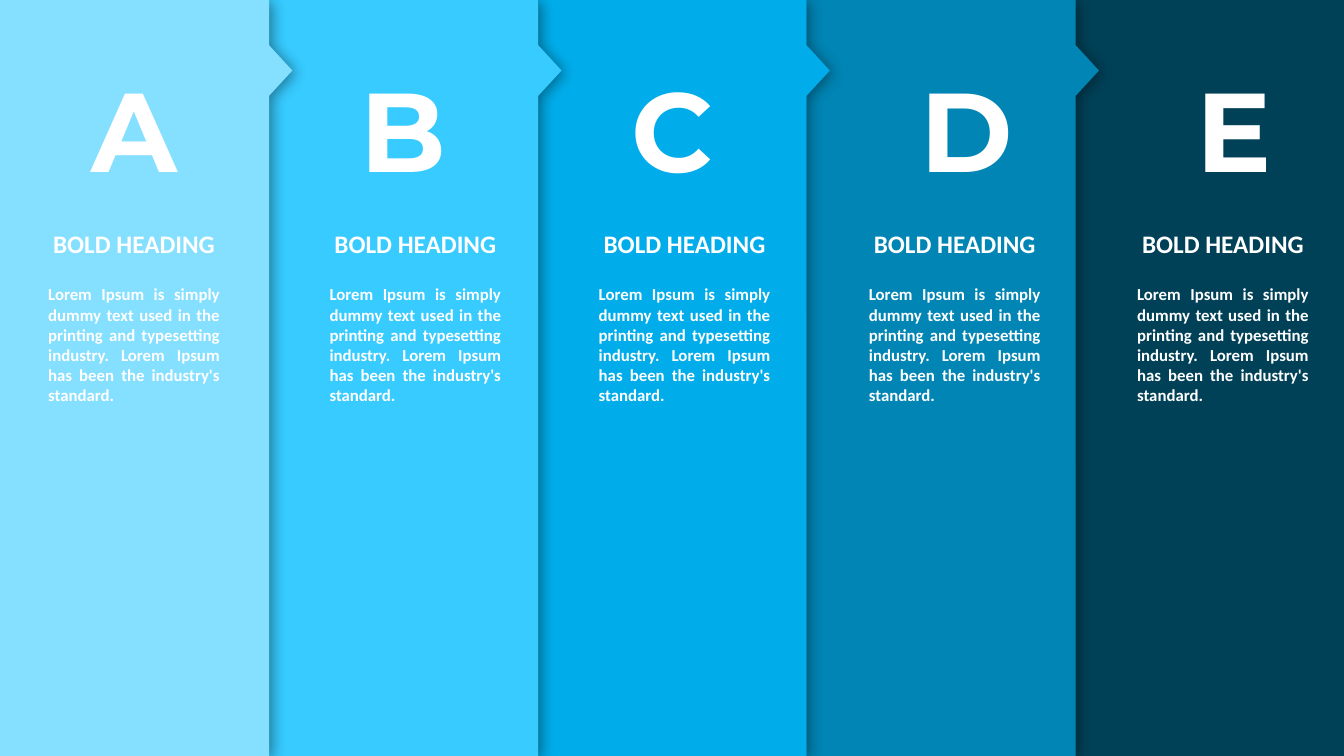
"""Build a slide of five overlapping arrow panels lettered A to E."""
from lxml import etree
from pptx import Presentation
from pptx.dml.color import RGBColor
from pptx.enum.text import MSO_AUTO_SIZE, PP_ALIGN
from pptx.oxml import parse_xml
from pptx.oxml.ns import nsdecls, qn
from pptx.util import Inches, Pt

BODY = ("Lorem Ipsum is simply dummy text used in the printing and typesetting "
        "industry. Lorem Ipsum has been the industry's standard.")
SHADOW = (f'<a:effectLst {nsdecls("a")}><a:outerShdw blurRad="{Pt(10)}" dist="{Pt(3)}" '
          'dir="2700000" algn="tl" rotWithShape="0"><a:srgbClr val="000000">'
          '<a:alpha val="40000"/></a:srgbClr></a:outerShdw></a:effectLst>')
HEIGHT = 7.5
POINT_Y, POINT_HALF, POINT_DEPTH = 0.7, 0.25, 0.23
EDGES = [0, 2.67, 5.34, 8, 10.67, 13.34]
PANELS = [
    ("A", "85DFFF", 0.5, 0.38),
    ("B", "37CBFF", 3.17, 3.17),
    ("C", "00ADEA", 5.84, 5.84),
    ("D", "0085B4", 8.75, 8.52),
    ("E", "004158", 11.41, 11.18),
]


def color(value):
    return RGBColor.from_string(value)


def add_text(group, text, left, top, width, height, size, font, alignment):
    box = group.shapes.add_textbox(Inches(left), Inches(top), Inches(width), Inches(height))
    frame = box.text_frame
    frame.word_wrap = True
    frame.auto_size = MSO_AUTO_SIZE.SHAPE_TO_FIT_TEXT
    paragraph = frame.paragraphs[0]
    paragraph.text = text
    paragraph.alignment = alignment
    paragraph.font.size = Pt(size)
    paragraph.font.name = font
    paragraph.font.bold = True
    paragraph.font.color.rgb = color("FFFFFF")


presentation = Presentation()
presentation.slide_width = Inches(13.33)
presentation.slide_height = Inches(HEIGHT)
slide = presentation.slides.add_slide(presentation.slide_layouts[6])

background = slide.background.fill
background.gradient()
for stop, value in zip(background.gradient_stops, ("005776", "004158")):
    stop.color.rgb = color(value)
linear = next(slide.element.iter(qn("a:lin")))
radial = etree.Element(qn("a:path"), {"path": "circle"})
etree.SubElement(radial, qn("a:fillToRect"), l="100000", t="100000")
linear.getparent().replace(linear, radial)

for (letter, fill, letter_left, text_left), left, right in reversed(
        list(zip(PANELS, EDGES, EDGES[1:]))):
    group = slide.shapes.add_group_shape()
    outline = [
        (right, 0),
        (right, POINT_Y - POINT_HALF),
        (right + POINT_DEPTH, POINT_Y),
        (right, POINT_Y + POINT_HALF),
        (right, HEIGHT),
        (left, HEIGHT),
    ]
    builder = group.shapes.build_freeform(Inches(left), 0)
    builder.add_line_segments([(Inches(x), Inches(y)) for x, y in outline])
    panel = builder.convert_to_shape()
    panel.fill.solid()
    panel.fill.fore_color.rgb = color(fill)
    panel.line.fill.background()
    panel.element.spPr.append(parse_xml(SHADOW))

    add_text(group, letter, letter_left, 0.55, 1.67, 1.45, 80, "Montserrat", PP_ALIGN.CENTER)
    add_text(group, "BOLD HEADING", text_left, 2.22, 1.9, 0.4, 18, "Calibri", PP_ALIGN.CENTER)
    add_text(group, BODY, text_left, 2.77, 1.9, 1.31, 12, "Calibri", PP_ALIGN.JUSTIFY)

presentation.save("out.pptx")
